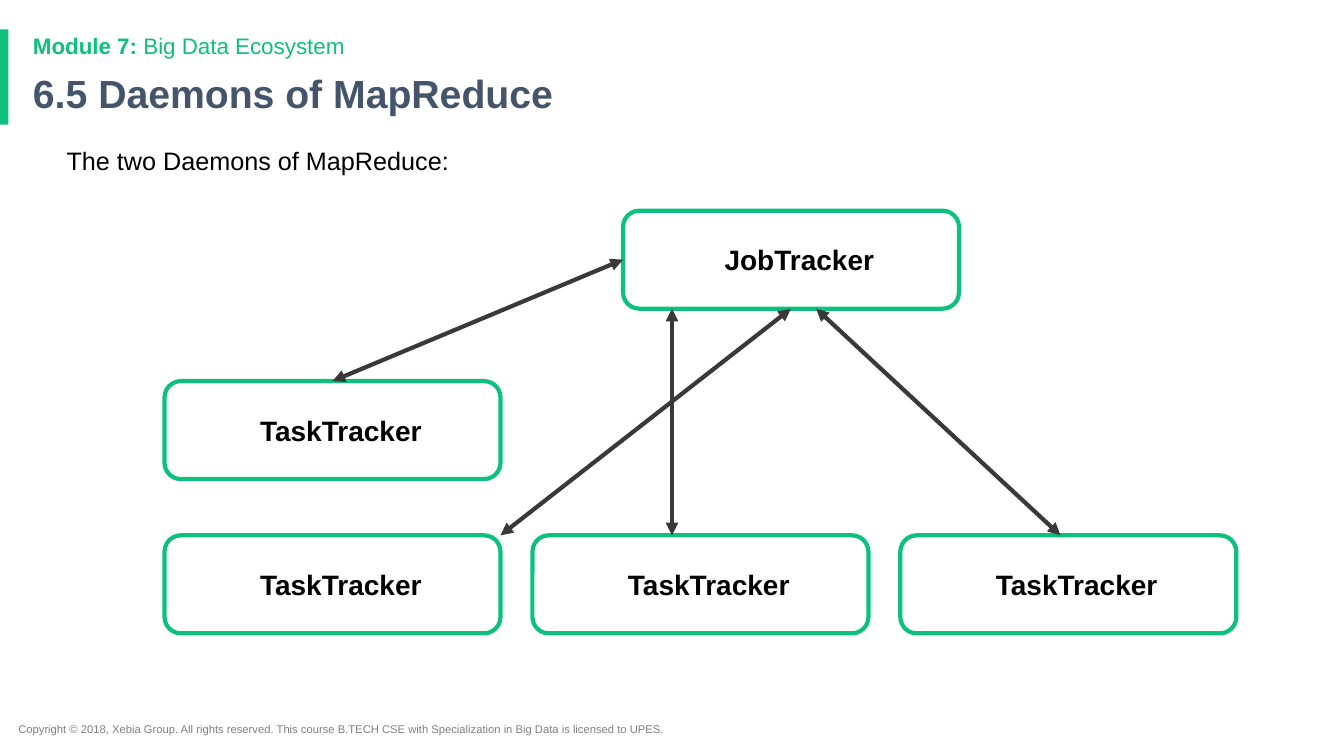
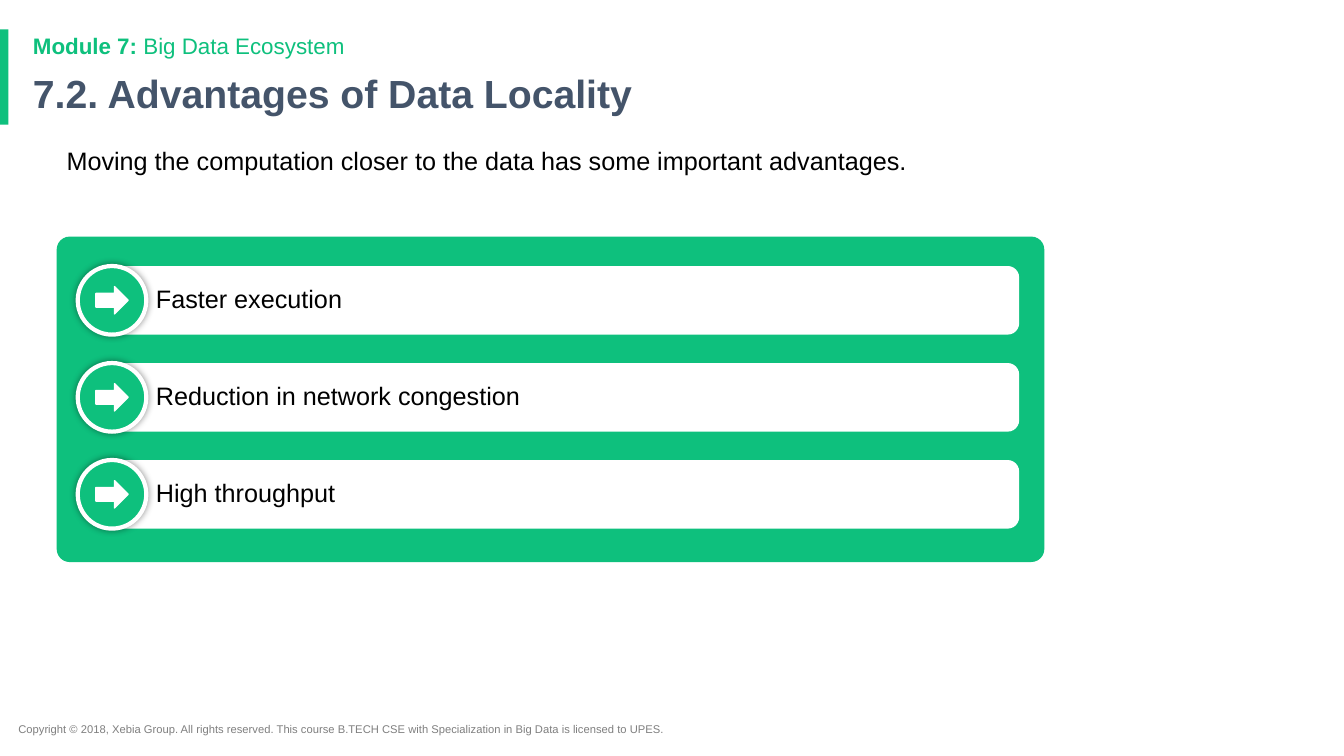
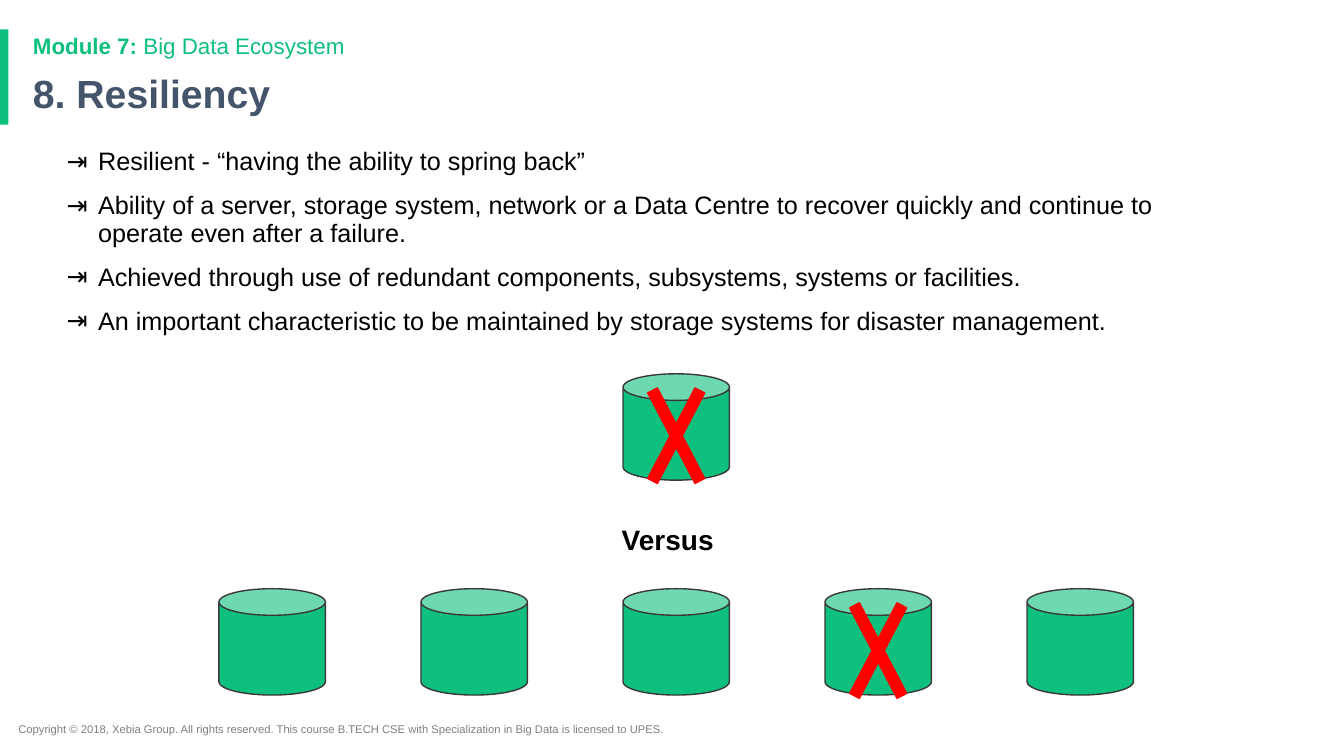
from lxml.etree import SubElement
from pptx import Presentation
from pptx.dml.color import RGBColor
from pptx.enum.shapes import MSO_CONNECTOR as LINK, MSO_SHAPE as KIND
from pptx.enum.text import MSO_ANCHOR as ANCHOR, PP_ALIGN as ALIGN
from pptx.oxml.ns import qn
from pptx.util import Pt

rgb = RGBColor.from_string
GREEN, WHITE, BLACK = "0EC07D", "FFFFFF", "000000"
SLATE, GREY, DARK, RED = "44546A", "7F7F7F", "3A3838", "FF0000"

HEAD = {"size": Pt(28), "bold": True}
TAG = {"size": Pt(16)}
BODY = {"size": Pt(18)}
LABEL = {"size": Pt(20), "bold": True}
NOTE = {"size": Pt(8)}
TIGHT = {"line_spacing": 0.9}
MID = {"alignment": ALIGN.CENTER}


def draw(slide, kind, box, fill=None, line=None, width=1):
    """Add a preset shape, or a text box when kind is None; box is in points."""
    box = [Pt(v) for v in box]
    if kind is None:
        return slide.shapes.add_textbox(*box)
    shape = slide.shapes.add_shape(kind, *box)
    shape.shadow.inherit = False
    shape.fill.solid()
    shape.fill.fore_color.rgb = rgb(fill)
    if line:
        shape.line.color.rgb = rgb(line)
        shape.line.width = Pt(width)
    else:
        shape.line.fill.background()
    return shape


def write(shape, text, look, color=BLACK, form=TIGHT):
    """Fill the first paragraph, or add one if it is taken; return it."""
    frame = shape.text_frame
    frame.word_wrap = True
    para = frame.paragraphs[0]
    if para.runs:
        para = frame.add_paragraph()
    run = para.add_run()
    run.text = text
    run.font.color.rgb = rgb(color)
    for key, val in {"name": "Arial", **look}.items():
        setattr(run.font, key, val)
    for key, val in form.items():
        setattr(para, key, val)
    return para


deck = Presentation()
deck.slide_width, deck.slide_height = Pt(960), Pt(540)

# Shared frame of every slide
slides = []
for title in ("6.5 Daemons of MapReduce", "7.2. Advantages of Data Locality",
              "8. Resiliency"):
    slide = deck.slides.add_slide(deck.slide_layouts[6])
    draw(slide, KIND.RECTANGLE, (0, 21, 6, 68), GREEN)
    write(draw(slide, None, (6, 512.5, 513, 17.5)),
          "Copyright © 2018, Xebia Group. All rights reserved. This course "
          "B.TECH CSE with Specialization in Big Data is licensed to UPES.",
          NOTE, GREY, {})
    write(draw(slide, None, (16.5, 50, 828, 39)), title, HEAD, SLATE)
    para = write(draw(slide, None, (16.5, 21.5, 828, 24)), "Module 7:",
                 {**TAG, "bold": True}, GREEN)
    rest = para.add_run()
    rest.text = " Big Data Ecosystem"
    rest.font.color.rgb = rgb(GREEN)
    for key, val in {"name": "Arial", **TAG}.items():
        setattr(rest.font, key, val)
    body = draw(slide, None, (40.5, 103, 809, 381))
    slides.append((slide, body))

# Slide 1: one job tracker linked to four task trackers
slide, body = slides[0]
write(body, "The two Daemons of MapReduce:", BODY)
wide, high, step = 240, 70, 262.8
left, top, mid, low = 117.5, 150.5, 272.2, 382.4
job = 445
nodes = [("JobTracker", job, top), ("TaskTracker", left, mid)]
nodes += [("TaskTracker", left + i * step, low) for i in range(3)]
for name, x, y in nodes:
    node = draw(slide, KIND.ROUNDED_RECTANGLE, (x, y, wide, high),
                WHITE, GREEN, 3)
    para = write(node, name, LABEL, form=MID)
    para._p.get_or_add_pPr().set("marL", str(Pt(12)))

foot = top + high
for ends in ((job, top + high / 2, left + wide / 2, mid),
             (480, foot, 480, low),
             (left + wide, low, job + wide / 2, foot),
             (583, foot, 757.5, low)):
    link = slide.shapes.add_connector(LINK.STRAIGHT, *[Pt(v) for v in ends])
    link.line.color.rgb = rgb(DARK)
    link.line.width = Pt(3)
    for tag in ("a:headEnd", "a:tailEnd"):
        SubElement(link.line._ln, qn(tag), type="triangle")
    SubElement(link._element.spPr, qn("a:effectLst"))

# Slide 2: list of advantages on a green panel
slide, body = slides[1]
write(body, "Moving the computation closer to the data has some important "
      "advantages.", BODY)
panel = draw(slide, KIND.ROUNDED_RECTANGLE, (40.5, 169, 705.5, 232.5), GREEN)
panel.adjustments[0] = 0.04
size = 49
for i, text in enumerate(("Faster execution", "Reduction in network congestion",
                          "High throughput")):
    y = 190 + i * 69.3
    row = draw(slide, KIND.ROUNDED_RECTANGLE, (73, y, 655, size), WHITE)
    write(row, text, BODY, form={**TIGHT, "alignment": ALIGN.LEFT})
    frame = row.text_frame
    for key, val in {"margin_left": Pt(36), "margin_right": 0, "margin_top": 0,
                     "margin_bottom": 0,
                     "vertical_anchor": ANCHOR.MIDDLE}.items():
        setattr(frame, key, val)
    disc = draw(slide, KIND.OVAL, (55.5, y, size, size), GREEN, WHITE, 3)
    glow = SubElement(disc._element.spPr.find(qn("a:effectLst")),
                      qn("a:outerShdw"), blurRad=str(Pt(5)), dist="0", dir="0")
    tone = SubElement(glow, qn("a:srgbClr"), val=BLACK)
    SubElement(tone, qn("a:alpha"), val="40000")
    draw(slide, KIND.RIGHT_ARROW,
         (55.5 + (size - 23) / 2, y + (size - 19.5) / 2, 23, 19.5),
         WHITE, WHITE)

# Slide 3: bullets, then a single store against a redundant row
slide, body = slides[2]
for i, text in enumerate((
        "Resilient - “having the ability to spring back”",
        "Ability of a server, storage system, network or a Data Centre to "
        "recover quickly and continue to operate even after a failure.",
        "Achieved through use of redundant components, subsystems, systems or "
        "facilities.",
        "An important characteristic to be maintained by storage systems for "
        "disaster management.")):
    form = {**TIGHT, "space_before": Pt(12)} if i else TIGHT
    props = write(body, text, BODY, form=form)._p.get_or_add_pPr()
    props.set("marL", str(Pt(22.5)))
    props.set("indent", str(Pt(-22.5)))
    SubElement(SubElement(props, qn("a:buClr")), qn("a:srgbClr"), val=BLACK)
    SubElement(props, qn("a:buFont"), typeface="Arial")
    SubElement(props, qn("a:buChar"), char="⇥")

stores = [(445, 267, True)]
stores += [(156.4 + i * 144.3, 420.5, i == 3) for i in range(5)]
for x, y, failed in stores:
    draw(slide, KIND.CAN, (x, y, 76, 76), GREEN, DARK)
    if failed:
        cross = draw(slide, KIND.MATH_MULTIPLY, (x + 5.5, y - 18, 65, 124.5),
                     RED, RED)
        cross.adjustments[0] = 0.12
write(draw(slide, None, (437, 369.5, 90, 31.5)), "Versus", LABEL, form={})

deck.save("out.pptx")
